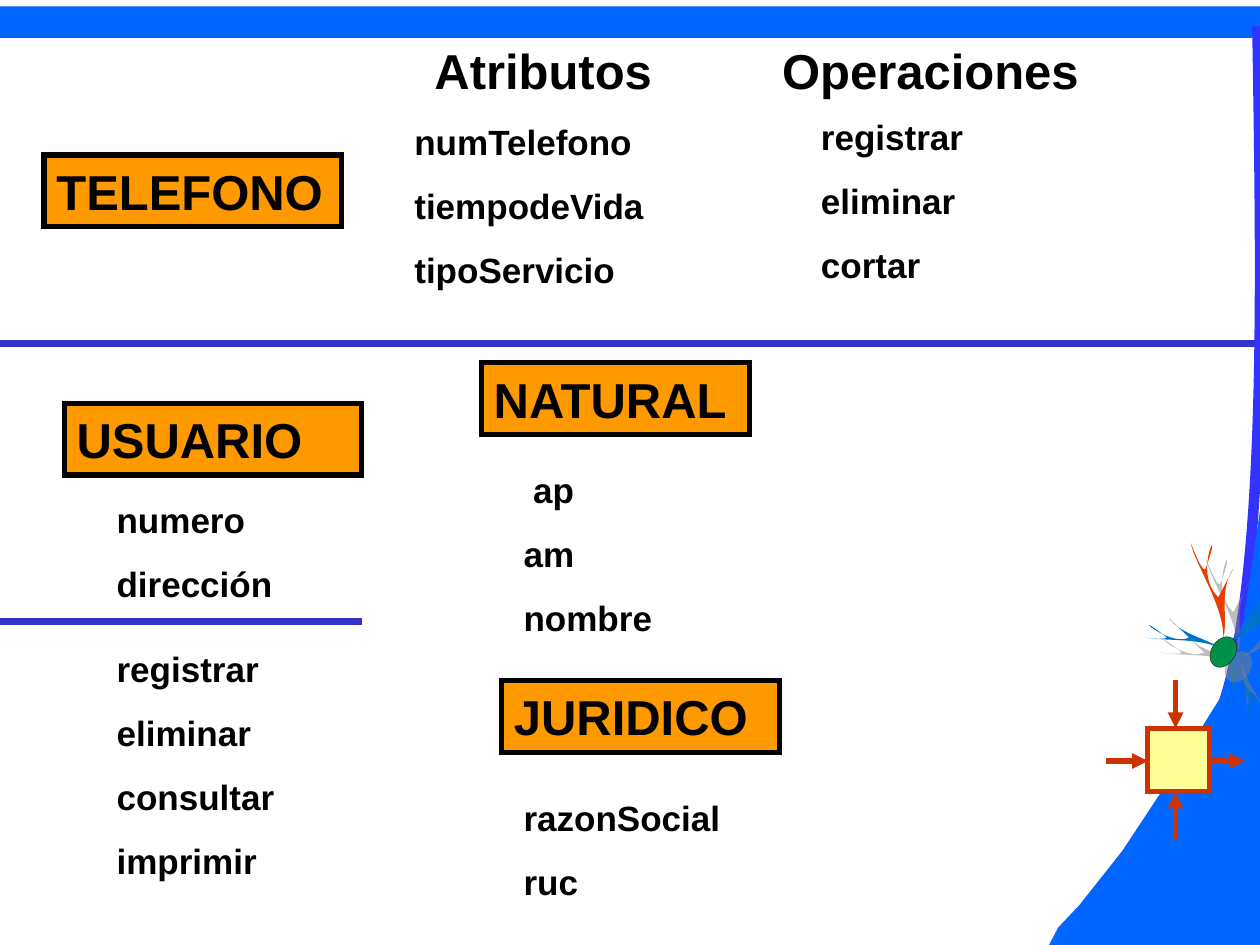
from dataclasses import dataclass
from math import cos, radians, sin

from lxml import etree
from pptx import Presentation
from pptx.dml.color import RGBColor
from pptx.enum.shapes import MSO_CONNECTOR, MSO_SHAPE
from pptx.enum.text import MSO_ANCHOR, PP_ALIGN
from pptx.oxml.ns import qn
from pptx.util import Inches, Pt

STRAIGHT = MSO_CONNECTOR.STRAIGHT
RECTANGLE, OVAL = MSO_SHAPE.RECTANGLE, MSO_SHAPE.OVAL
TOP, LEFT = MSO_ANCHOR.TOP, PP_ALIGN.LEFT


@dataclass(frozen=True)
class Theme:
    font: str = "Arial"
    title_size: float = 28
    item_size: float = 20
    item_gap: float = 12.5
    ink: str = "000000"
    label: str = "FF9900"
    divider: str = "3333CC"
    band: str = "0066FF"
    edge: str = "3333FF"
    node: str = "FFFF99"
    arrow: str = "CC3300"
    flame: str = "EB3D00"
    branch: str = "0074C5"
    core: str = "009049"
    core_line: str = "25221E"
    shade: str = "808080"


THEME = Theme()
COLUMNS, ROWS = 100, 75
CELL = Inches(10) / COLUMNS
TITLE_HEIGHT = 5.7
ITEM_PITCH, ITEM_TRIM = 5.1, 0.8
SPACE = 0.77
TILT = 302.5

HEADINGS = [("Atributos", 33.5, 2.7, 19.4), ("Operaciones", 61.1, 2.7, 25.7)]
CLASSES = [
    ("TELEFONO", 3.5, 12.3, 23.6),
    ("NATURAL", 38.2, 28.8, 21.3),
    ("JURIDICO", 39.8, 54, 22.1),
    ("USUARIO", 5.1, 32, 23.6),
]
MEMBERS = [
    (31.9, 9.1, 25.2, 3, [("numTelefono", 0), ("tiempodeVida", 0), ("tipoServicio", 0)]),
    (63.4, 8.7, 25.2, 4, [("registrar", 1), ("eliminar", 1), ("cortar", 1)]),
    (7.5, 39.1, 19.7, 2, [("numero", 1), ("dirección", 1)]),
    (39.8, 36.7, 19.7, 4, [("ap", 2), ("am", 1), ("nombre", 1)]),
    (39.8, 62.7, 19.7, 2, [("razonSocial", 1), ("ruc", 1)]),
    (7.5, 50.9, 16.5, 4,
     [("registrar", 1), ("eliminar", 1), ("consultar", 1), ("imprimir", 1)]),
]
DIVIDERS = [(0, 27.3, 100, 27.3), (0, 49.3, 28.7, 49.3)]
ARROWS = [
    (87.8, 60.4, 91.1, 60.4),
    (96, 60.4, 98.8, 60.4),
    (93.3, 54, 93.3, 57.8),
    (93.3, 66.6, 93.3, 62.9),
]
EDGE_CURVE = ((84.1, 2.1, 16.2, 75.6), [
    (99.8, 2.1),
    (100.1, 20.8, 100.4, 39.5, 98.2, 51.5),
    (96, 63.4, 88.6, 70, 86.4, 73.8),
    (84.1, 77.7, 84.5, 76.1, 84.8, 74.6),
])
CORNER = ((83.1, 34.4, 17.3, 40.9), [
    (85.7, 71.8), (89.1, 67.5), (92.6, 62.2), (96.9, 55.3), (98.7, 49.2), (99.5, 43.9),
    (100.4, 37.9), (100.4, 34.4), (100.4, 75.3), (83.1, 75.3), (84, 73.6), (85.7, 71.8),
])
BRANCHES = [
    (THEME.flame, (92.5, 42.3, 8.5, 6.2), [
        (94.5, 43.1), (94.7, 43.5, 95.5, 45.7, 95.7, 45.1),
        (97.3, 40.7, 94.5, 45.3, 96.7, 47.4), (97.9, 45.1),
        (96.7, 46.9, 97.5, 49, 97.1, 50.6), (97.1, 48, 95, 45.1, 94.5, 43.1)]),
    (THEME.branch, (96.8, 45.8, 9, 4.6), [
        (101.5, 45), (101.3, 45.3, 100.2, 47.1, 100.9, 46.9),
        (105.7, 45.5, 99.7, 46.2, 99.8, 48.9), (102.5, 48.5),
        (100.3, 48.7, 99.2, 50.4, 97.5, 50.9), (99.6, 49.5, 100.3, 46.5, 101.5, 45)]),
    (THEME.branch, (91.5, 46.3, 2.6, 8), [
        (90.9, 50.6), (91.3, 50.7, 93, 50.8, 92.5, 50.5),
        (89.4, 48.1, 92.6, 51.4, 94.4, 50.6), (92.8, 49.1),
        (93.9, 50.4, 95.6, 50.6, 96.8, 51.4), (94.9, 50.6, 92.5, 50.9, 90.9, 50.6)]),
    (THEME.branch, (95.3, 52.6, 5.6, 5.2), [
        (100.3, 56.7), (100.1, 56.4, 99.2, 54.9, 99.1, 55.4),
        (98.7, 58.8, 99.9, 55, 98.1, 53.7), (97.6, 55.6),
        (98.1, 54.2, 97.3, 52.7, 97.4, 51.4), (97.8, 53.4, 99.6, 55.2, 100.3, 56.7)]),
]


def cells(*values):
    return [round(value * CELL) for value in values]


def paint(shape, fill=None, line=None, width=0):
    shape.shadow.inherit = False
    if fill:
        shape.fill.solid()
        shape.fill.fore_color.rgb = RGBColor.from_string(fill)
    else:
        shape.fill.background()
    if line:
        shape.line.color.rgb = RGBColor.from_string(line)
        shape.line.width = Pt(width)
        etree.SubElement(shape.line._get_or_add_ln(), qn("a:miter"), lim="800000")
    else:
        shape.line.fill.background()
    return shape


def add_preset(page, kind, place, **style):
    return paint(page.shapes.add_shape(kind, *cells(*place)), **style)


def write(shape, items, size, gap=0, wrap=True):
    frame = shape.text_frame
    frame.word_wrap = wrap
    frame.vertical_anchor = TOP
    for index, (text, indent) in enumerate(items):
        para = frame.paragraphs[0] if index == 0 else frame.add_paragraph()
        para.alignment = LEFT
        para.space_before = Pt(gap)
        para._p.get_or_add_pPr().set("marL", str(cells(indent * SPACE)[0]))
        span = para.add_run()
        span.text = text
        span.font.name = THEME.font
        span.font.size = Pt(size)
        span.font.bold = True
        span.font.color.rgb = RGBColor.from_string(THEME.ink)


def add_line(page, ends, color, width, arrow=False):
    line = page.shapes.add_connector(STRAIGHT, *cells(*ends))
    line.line.color.rgb = RGBColor.from_string(color)
    line.line.width = Pt(width)
    if arrow:
        etree.SubElement(line.line._get_or_add_ln(), qn("a:tailEnd"), type="triangle")
    etree.SubElement(line._element.spPr, qn("a:effectLst"))


def to_local(x, y, place, tilt):
    left, top, width, height = place
    dx, dy = x - left - width / 2, y - top - height / 2
    turn = radians(-tilt)
    return cells(dx * cos(turn) - dy * sin(turn) + width / 2,
                 dx * sin(turn) + dy * cos(turn) + height / 2)


def add_outline(page, place, steps, tilt=0, **style):
    left, top, width, height = place
    builder = page.shapes.build_freeform(*cells(left, top))
    builder.add_line_segments([cells(left + width, top + height)], close=False)
    shape = builder.convert_to_shape()
    route = next(shape._element.spPr.iter(qn("a:path")))
    for segment in list(route):
        route.remove(segment)
    for index, step in enumerate(steps):
        tag = "a:moveTo" if index == 0 else "a:lnTo" if len(step) == 2 else "a:cubicBezTo"
        segment = etree.SubElement(route, qn(tag))
        for x, y in zip(step[::2], step[1::2]):
            across, down = to_local(x, y, place, tilt)
            etree.SubElement(segment, qn("a:pt"), x=str(across), y=str(down))
    shape.rotation = tilt
    return paint(shape, **style)


def cast_shadow(shape):
    effects = shape._element.spPr.find(qn("a:effectLst"))
    shadow = etree.SubElement(effects, qn("a:outerShdw"), dist=str(Pt(12.1)),
                              dir=str(45 * 60000), rotWithShape="0")
    color = etree.SubElement(shadow, qn("a:srgbClr"), val=THEME.shade)
    etree.SubElement(color, qn("a:alpha"), val="50000")


def main():
    deck = Presentation()
    deck.slide_width, deck.slide_height = cells(COLUMNS, ROWS)
    page = deck.slides.add_slide(deck.slide_layouts[6])

    for text, left, top, width in HEADINGS:
        box = page.shapes.add_textbox(*cells(left, top, width, TITLE_HEIGHT))
        write(box, [(text, 0)], THEME.title_size, wrap=False)
    for left, top, width, slots, items in MEMBERS:
        height = ITEM_PITCH * slots - ITEM_TRIM
        box = page.shapes.add_textbox(*cells(left, top, width, height))
        write(box, items, THEME.item_size, THEME.item_gap)
    for text, left, top, width in CLASSES:
        box = add_preset(page, RECTANGLE, (left, top, width, TITLE_HEIGHT),
                         fill=THEME.label, line=THEME.ink, width=3)
        write(box, [(text, 0)], THEME.title_size)
    for ends in DIVIDERS:
        add_line(page, ends, THEME.divider, 4)

    add_preset(page, RECTANGLE, (0, 0.5, COLUMNS, 2.5), fill=THEME.band)
    add_outline(page, *EDGE_CURVE, line=THEME.edge, width=6)
    add_outline(page, *CORNER, fill=THEME.band)
    add_preset(page, RECTANGLE, (91.1, 57.8, 4.9, 5), fill=THEME.node,
               line=THEME.arrow, width=3)
    for ends in ARROWS:
        add_line(page, ends, THEME.arrow, 3, arrow=True)
    for color, place, steps in BRANCHES:
        cast_shadow(add_outline(page, place, steps, TILT, fill=color))
    core = add_preset(page, OVAL, (95.8, 50.8, 2.6, 1.9), fill=THEME.core,
                      line=THEME.core_line, width=0.25)
    core.rotation = TILT
    cast_shadow(core)
    deck.save("out.pptx")


if __name__ == "__main__":
    main()
